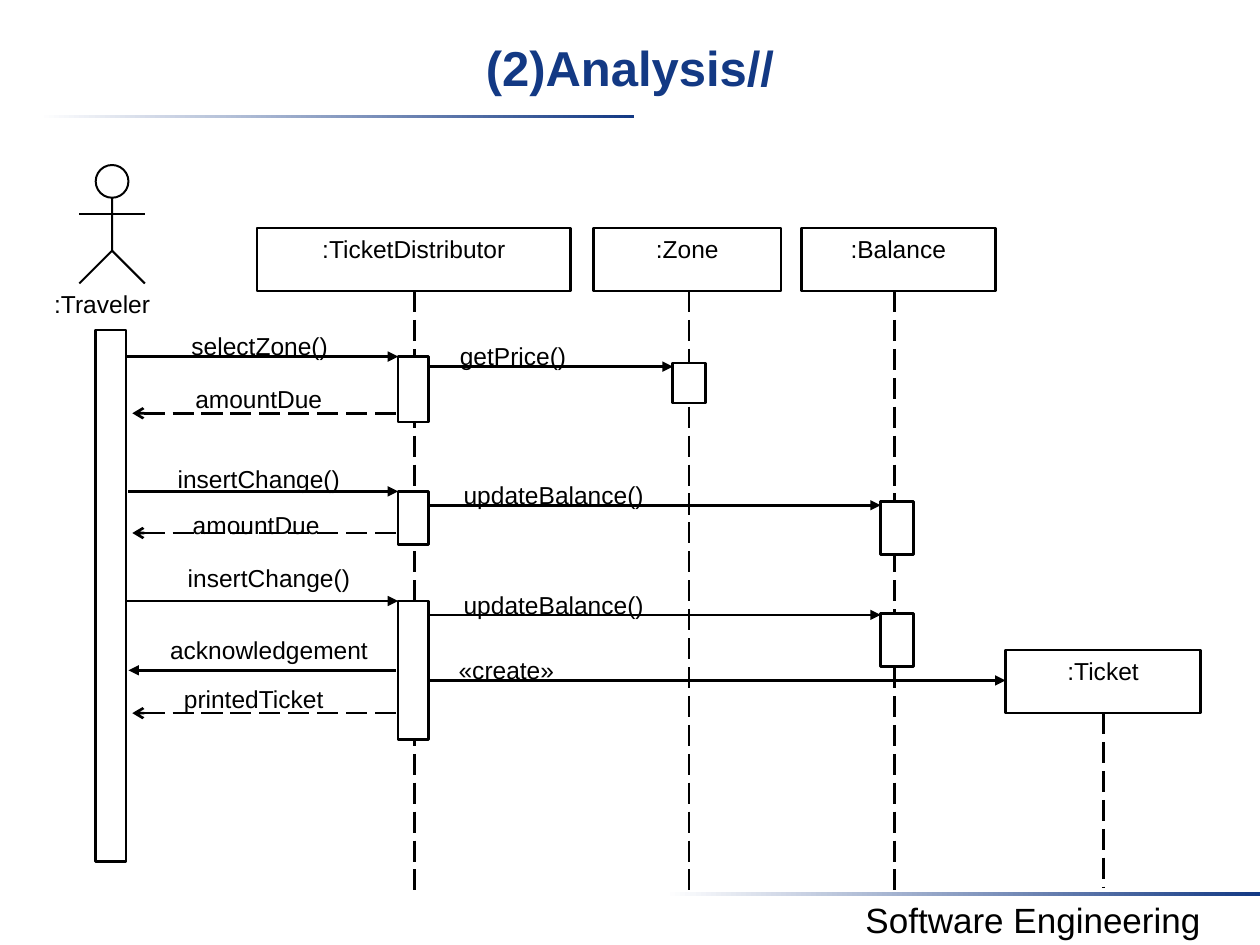
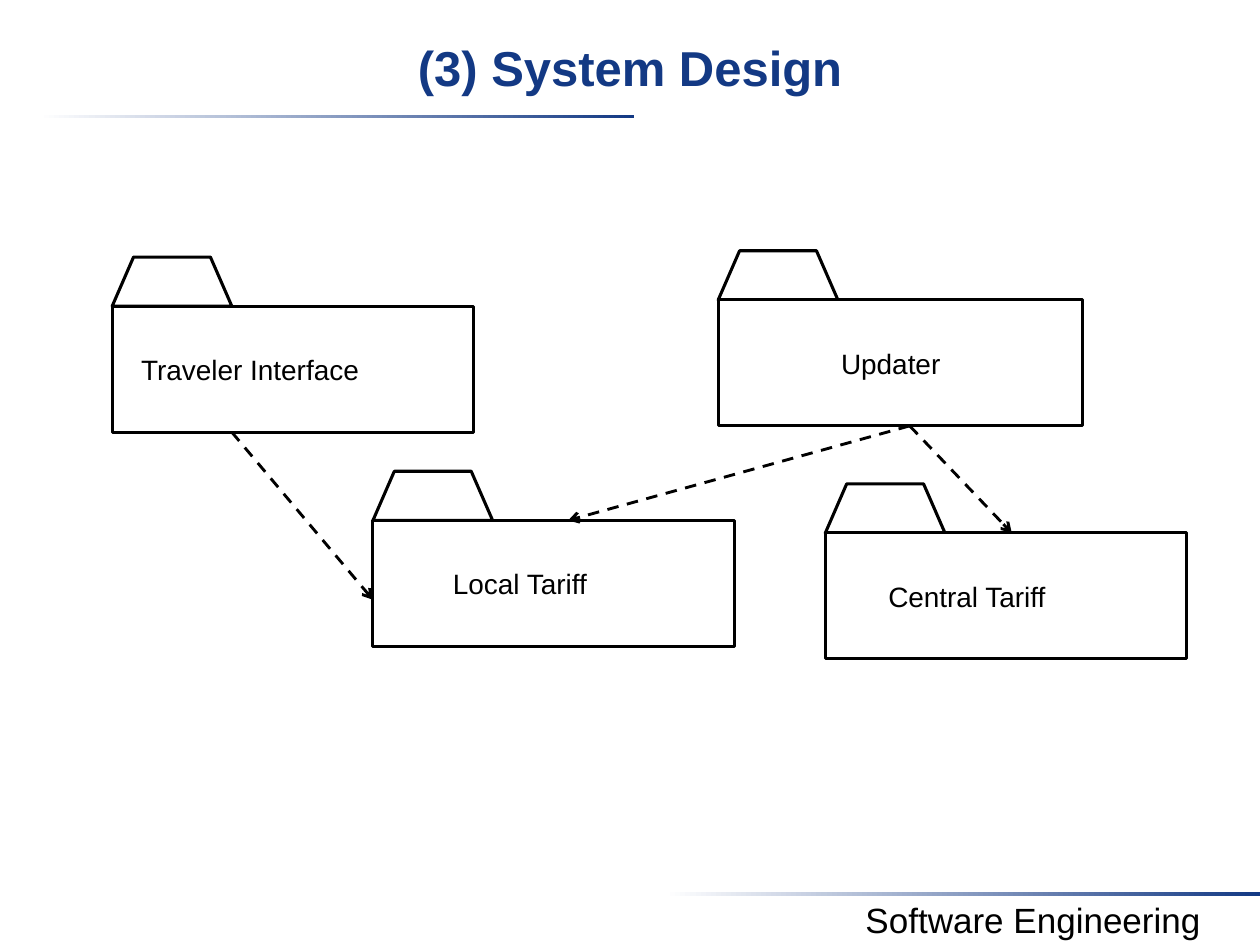
from pptx import Presentation
from pptx.dml.color import RGBColor
from pptx.enum.dml import MSO_LINE
from pptx.enum.shapes import MSO_CONNECTOR, MSO_SHAPE
from pptx.enum.text import MSO_ANCHOR, PP_ALIGN
from pptx.oxml.ns import qn
from pptx.util import Inches, Pt
from lxml import etree

NAVY = RGBColor(0x13, 0x39, 0x84)
BLACK = RGBColor(0, 0, 0)
WHITE = RGBColor(255, 255, 255)
FONT = "Arial"
RECT, OVAL = MSO_SHAPE.RECTANGLE, MSO_SHAPE.OVAL
STRAIGHT = MSO_CONNECTOR.STRAIGHT
DASH, LONG = MSO_LINE.DASH, MSO_LINE.LONG_DASH
LEFT, CENTER = PP_ALIGN.LEFT, PP_ALIGN.CENTER
TOP = MSO_ANCHOR.TOP

USER, SELLER, ZONE, FUNDS = 0.99, 3.16, 5.34, 6.99
LIFE_END = 7.1

HEADS = [
    (":TicketDistributor", 2.04, 1.81, 2.49, 3.29, LIFE_END),
    (":Zone", 4.71, 1.81, 1.49, 5.47, LIFE_END),
    (":Balance", 6.36, 1.81, 1.54, 7.1, LIFE_END),
    (":Ticket", 7.98, 5.16, 1.55, 8.76, 7.05),
]
CALLS = [
    ("selectZone()", USER, SELLER, 2.83, 1.52, 2.63),
    ("getPrice()", 3.38, ZONE, 2.91, 3.65, 2.71),
    ("insertChange()", 1.02, SELLER, 3.9, 1.41, 3.68),
    ("updateBalance()", 3.38, FUNDS, 4.01, 3.68, 3.81),
    ("insertChange()", USER, SELLER, 4.77, 1.49, 4.47),
    ("updateBalance()", 3.38, FUNDS, 4.88, 3.68, 4.68),
    ("acknowledgement", 3.14, 1.02, 5.32, 1.35, 5.04),
    ("«create»", 3.4, 7.98, 5.4, 3.64, 5.2),
]
REPLIES = [
    ("amountDue", 3.28, 1.55, 3.05),
    ("amountDue", 4.23, 1.53, 4.05),
    ("printedTicket", 5.66, 1.46, 5.43),
]
BARS = [
    (0.76, 2.62, 0.24, 4.22),
    (SELLER, 2.83, 0.24, 0.52),
    (SELLER, 3.9, 0.24, 0.42),
    (SELLER, 4.77, 0.24, 1.1),
    (ZONE, 2.88, 0.26, 0.32),
    (FUNDS, 3.98, 0.26, 0.42),
    (FUNDS, 4.87, 0.26, 0.42),
]
PACKS = [
    ("Traveler Interface", 0.89, 2.43, 2.87, 2.41),
    ("Updater", 5.7, 2.38, 2.89, 0.94),
    ("Local Tariff", 2.96, 4.13, 2.87, 1.6),
    ("Central Tariff", 6.55, 4.23, 2.87, 1.87),
]
USES = [
    (1.84, 3.43, 2.96, 4.76),
    (7.22, 3.38, 4.51, 4.13),
    (7.22, 3.38, 8.03, 4.23),
]


def write(shape, text, size, align=LEFT, color=BLACK, bold=False):
    frame = shape.text_frame
    frame.word_wrap = True
    frame.vertical_anchor = TOP
    para = frame.paragraphs[0]
    para.text = text
    para.alignment = align
    font = para.font
    font.name, font.size, font.bold = FONT, Pt(size), bold
    font.color.rgb = color
    return frame


def label(slide, text, x, y, w, h=0.19, size=14):
    box = slide.shapes.add_textbox(*map(Inches, (x, y, w, h)))
    frame = write(box, text, size)
    frame.margin_left = frame.margin_right = 0
    frame.margin_top = frame.margin_bottom = 0


def box(slide, x, y, w, h, weight=1.5, kind=RECT):
    shape = slide.shapes.add_shape(kind, *map(Inches, (x, y, w, h)))
    shape.shadow.inherit = False
    shape.fill.solid()
    shape.fill.fore_color.rgb = WHITE
    shape.line.color.rgb = BLACK
    shape.line.width = Pt(weight)
    return shape


def link(slide, x1, y1, x2, y2, weight=1.5, dash=None, end=None, tip="arrow"):
    line = slide.shapes.add_connector(STRAIGHT, *map(Inches, (x1, y1, x2, y2)))
    line.line.color.rgb = BLACK
    line.line.width = Pt(weight)
    if dash is not None:
        line.line.dash_style = dash
    props = line._element.spPr
    if end:
        etree.SubElement(props.find(qn("a:ln")), qn("a:" + end), type=tip)
    etree.SubElement(props, qn("a:effectLst"))


def trace(slide, points, weight, close=False):
    spots = [(Inches(x), Inches(y)) for x, y in points]
    path = slide.shapes.build_freeform(*spots[0])
    path.add_line_segments(spots[1:], close=close)
    shape = path.convert_to_shape()
    shape.shadow.inherit = False
    shape.fill.background()
    shape.line.color.rgb = BLACK
    shape.line.width = Pt(weight)


def band(slide, x, y):
    shape = box(slide, x, y, 4.72, 0.03)
    shape.line.fill.background()
    shape.fill.gradient()
    shape.fill.gradient_angle = 0
    for stop, color, place in zip(shape.fill.gradient_stops, (WHITE, NAVY), (0, 1)):
        stop.color.rgb = color
        stop.position = place


def base(deck, title):
    slide = deck.slides.add_slide(deck.slide_layouts[6])
    band(slide, 0.31, 0.91)
    band(slide, 5.28, 7.08)
    foot = slide.shapes.add_textbox(*map(Inches, (6.4, 7.08, 3.6, 0.44)))
    write(foot, "Software Engineering", 20, CENTER)
    head = slide.shapes.add_textbox(*map(Inches, (0, 0.2, 10, 0.75)))
    frame = write(head, title, 28, CENTER, NAVY, True)
    frame.margin_top = Inches(0.1)
    return slide


def actor(slide, x, y):
    mid, hip, foot = x + 0.26, y + 0.68, y + 0.94
    trace(slide, [(mid, y + 0.21), (mid, hip), (x, foot)], 1.13)
    link(slide, mid, hip, x + 0.52, foot, 1.13)
    link(slide, x, y + 0.39, x + 0.52, y + 0.39, 1.13)
    box(slide, x + 0.13, y, 0.26, 0.26, 1.13, OVAL)
    label(slide, ":Traveler", x - 0.2, y + 0.98, 1.05)


def member(slide, name, x, y, w, life, end):
    link(slide, life, y + 0.5, life, end, dash=LONG)
    write(box(slide, x, y, w, 0.5), name, 14, CENTER)


def pack(slide, name, x, y, w, wide):
    tab = [(x, y), (x + 0.17, y - 0.39), (x + 0.78, y - 0.39), (x + 0.95, y)]
    trace(slide, tab, 1.75, True)
    box(slide, x, y, w, 1, 1.75)
    label(slide, name, x + (w - wide) / 2, y + 0.37, wide, 0.27, 16)


def flow(deck):
    slide = base(deck, "(2)Analysis//")
    for name, start, end, y, left, top in CALLS:
        link(slide, start, y, end, y, end="tailEnd", tip="triangle")
        label(slide, name, left, top, 1.8)
    actor(slide, 0.63, 1.31)
    for item in HEADS:
        member(slide, *item)
    for name, y, left, top in REPLIES:
        link(slide, 1.05, y, SELLER, y, dash=LONG, end="headEnd")
        label(slide, name, left, top, 1.5)
    for item in BARS:
        box(slide, *item)


def design(deck):
    slide = base(deck, "(3) System Design")
    for item in PACKS:
        pack(slide, *item)
    for item in USES:
        link(slide, *item, 1.63, DASH, "tailEnd")


def main():
    deck = Presentation()
    deck.slide_width, deck.slide_height = Inches(10), Inches(7.5)
    flow(deck)
    design(deck)
    deck.save("out.pptx")


if __name__ == "__main__":
    main()
